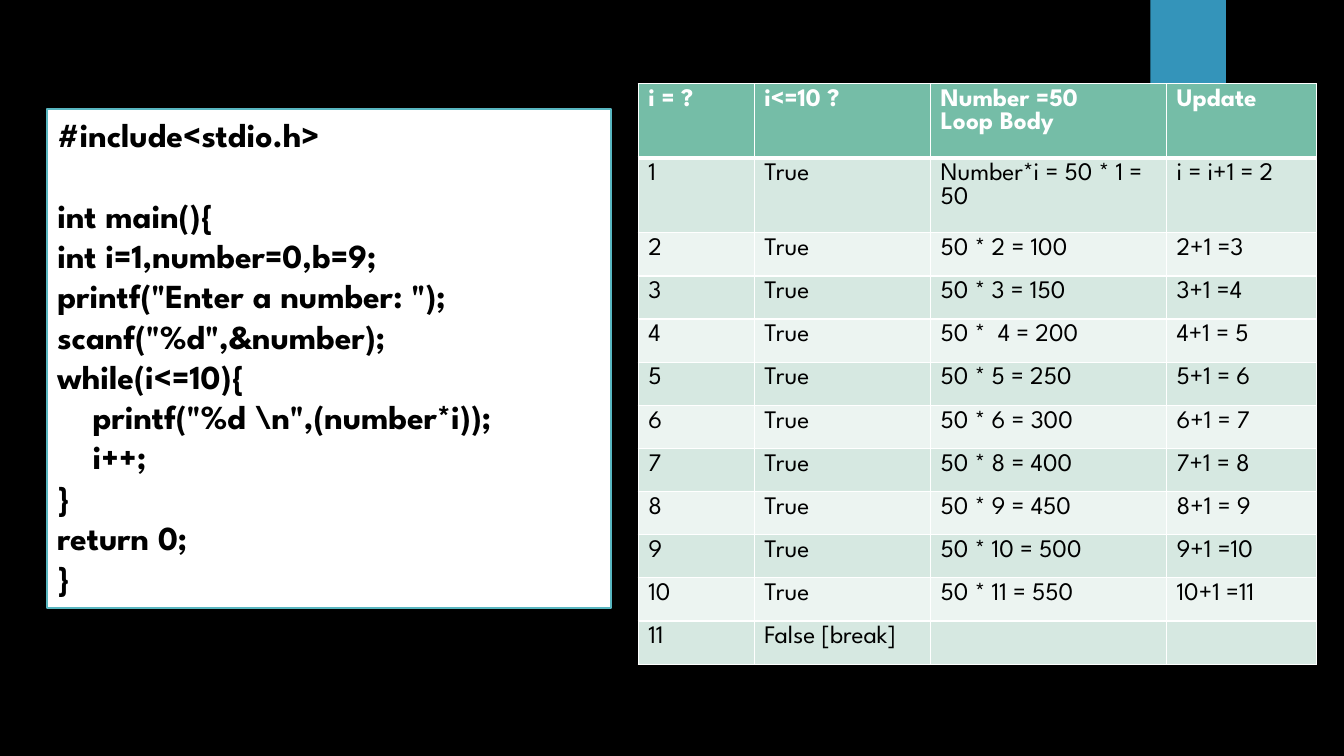
from dataclasses import dataclass

from lxml.etree import SubElement
from pptx import Presentation
from pptx.dml.color import RGBColor
from pptx.enum.shapes import MSO_SHAPE
from pptx.enum.text import MSO_ANCHOR, PP_ALIGN
from pptx.oxml.ns import qn
from pptx.util import Inches, Pt


@dataclass(frozen=True)
class Theme:
    """Colours, font and type sizes of the slide."""
    font: str = "League Spartan"
    backdrop: str = "000000"
    ink: str = "000000"
    paper: str = "FFFFFF"
    tab: str = "3494BA"
    frame: str = "58B6C0"
    header: str = "75BDA7"
    bands: tuple = ("D6E8E1", "ECF4F1")
    code_size: int = 24
    table_size: int = 18


THEME = Theme()
CODE = [
    (0, '#include<stdio.h>'),
    (0, 'int main(){'),
    (0, 'int i=1,number=0,b=9;'),
    (0, 'printf("Enter a number: ");'),
    (0, 'scanf("%d",&number);'),
    (0, 'while(i<=10){'),
    (1, r'printf("%d \n",(number*i));'),
    (1, 'i++;'),
    (0, '}'),
    (0, 'return 0;'),
    (0, '}'),
]
HEADINGS = ("i = ?", "i<=10 ?", "Number =50\nLoop Body", "Update")
STEPS = [
    ("Number*i = 50 * 1 = 50", "i = i+1 = 2"),
    ("50 * 2 = 100", "2+1 =3"),
    ("50 * 3 = 150", "3+1 =4"),
    ("50 *  4 = 200", "4+1 = 5"),
    ("50 * 5 = 250", "5+1 = 6"),
    ("50 * 6 = 300", "6+1 = 7"),
    ("50 * 8 = 400", "7+1 = 8"),
    ("50 * 9 = 450", "8+1 = 9"),
    ("50 * 10 = 500", "9+1 =10"),
    ("50 * 11 = 550", "10+1 =11"),
]
COLUMN_WIDTHS = (1.15, 1.75, 2.34, 1.49)
TALL_ROW = 0.74
TALL_ROWS = 2


def apply_format(target, values):
    """Set each named attribute on the target."""
    for name, value in values.items():
        setattr(target, name, value)


def style_font(paragraph, size, color, bold):
    """Give a paragraph's runs the theme font."""
    for run in paragraph.runs:
        apply_format(run.font, {"name": THEME.font, "size": Pt(size), "bold": bold})
        run.font.color.rgb = RGBColor.from_string(color)


def add_panel(slide, box, color):
    """Add a plain filled rectangle."""
    panel = slide.shapes.add_shape(MSO_SHAPE.RECTANGLE, *map(Inches, box))
    panel.shadow.inherit = False
    panel.fill.solid()
    panel.fill.fore_color.rgb = RGBColor.from_string(color)
    panel.line.fill.background()
    return panel


def add_code(slide, box):
    """Add the framed program listing."""
    listing = add_panel(slide, box, THEME.paper)
    listing.line.color.rgb = RGBColor.from_string(THEME.frame)
    listing.line.width = Pt(1.5)
    frame = listing.text_frame
    apply_format(frame, {"word_wrap": True, "vertical_anchor": MSO_ANCHOR.TOP})
    for index, (level, statement) in enumerate(CODE):
        paragraph = frame.add_paragraph() if index else frame.paragraphs[0]
        paragraph.text = statement
        apply_format(paragraph, {
            "alignment": PP_ALIGN.LEFT,
            "line_spacing": 1.0,
            "space_before": Pt(28.8 if index == 1 else 0),
        })
        paragraph._p.get_or_add_pPr().set("marL", str(Inches(0.35 * level)))
        style_font(paragraph, THEME.code_size, THEME.ink, True)


def add_borders(cell, top, bottom):
    """Draw the four cell edges in the paper colour."""
    properties = cell._tc.get_or_add_tcPr()
    for edge, width in {"lnL": 1, "lnR": 1, "lnT": top, "lnB": bottom}.items():
        line = SubElement(properties, qn(f"a:{edge}"), w=str(Pt(width)))
        SubElement(SubElement(line, qn("a:solidFill")), qn("a:srgbClr"), val=THEME.paper)


def add_trace(slide, box):
    """Add the table that traces each pass of the loop."""
    passes = [(str(i), "True", *step) for i, step in enumerate(STEPS, 1)]
    rows = [HEADINGS, *passes, ("11", "False [break]", "", "")]
    trace = slide.shapes.add_table(len(rows), len(HEADINGS), *map(Inches, box)).table
    for column, width in zip(trace.columns, COLUMN_WIDTHS):
        column.width = Inches(width)
    short_row = (box[3] - TALL_ROWS * TALL_ROW) / (len(rows) - TALL_ROWS)
    for r, values in enumerate(rows):
        heading = r == 0
        trace.rows[r].height = Inches(TALL_ROW if r < TALL_ROWS else short_row)
        fill = THEME.header if heading else THEME.bands[(r - 1) % 2]
        color = THEME.paper if heading else THEME.ink
        for c, value in enumerate(values):
            cell = trace.cell(r, c)
            add_borders(cell, 3 if r == 1 else 1, 3 if heading else 1)
            cell.fill.solid()
            cell.fill.fore_color.rgb = RGBColor.from_string(fill)
            if value:
                cell.text = value
            for paragraph in cell.text_frame.paragraphs:
                style_font(paragraph, THEME.table_size, color, heading)


def main():
    """Build and save the slide."""
    deck = Presentation()
    apply_format(deck, {"slide_width": Inches(13.33), "slide_height": Inches(7.5)})
    slide = deck.slides.add_slide(deck.slide_layouts[6])
    slide.background.fill.solid()
    slide.background.fill.fore_color.rgb = RGBColor.from_string(THEME.backdrop)
    add_panel(slide, (11.41, 0, 0.75, 1.25), THEME.tab)
    add_code(slide, (0.47, 1.08, 5.59, 4.95))
    add_trace(slide, (6.33, 0.83, sum(COLUMN_WIDTHS), 5.76))
    deck.save("out.pptx")


if __name__ == "__main__":
    main()
